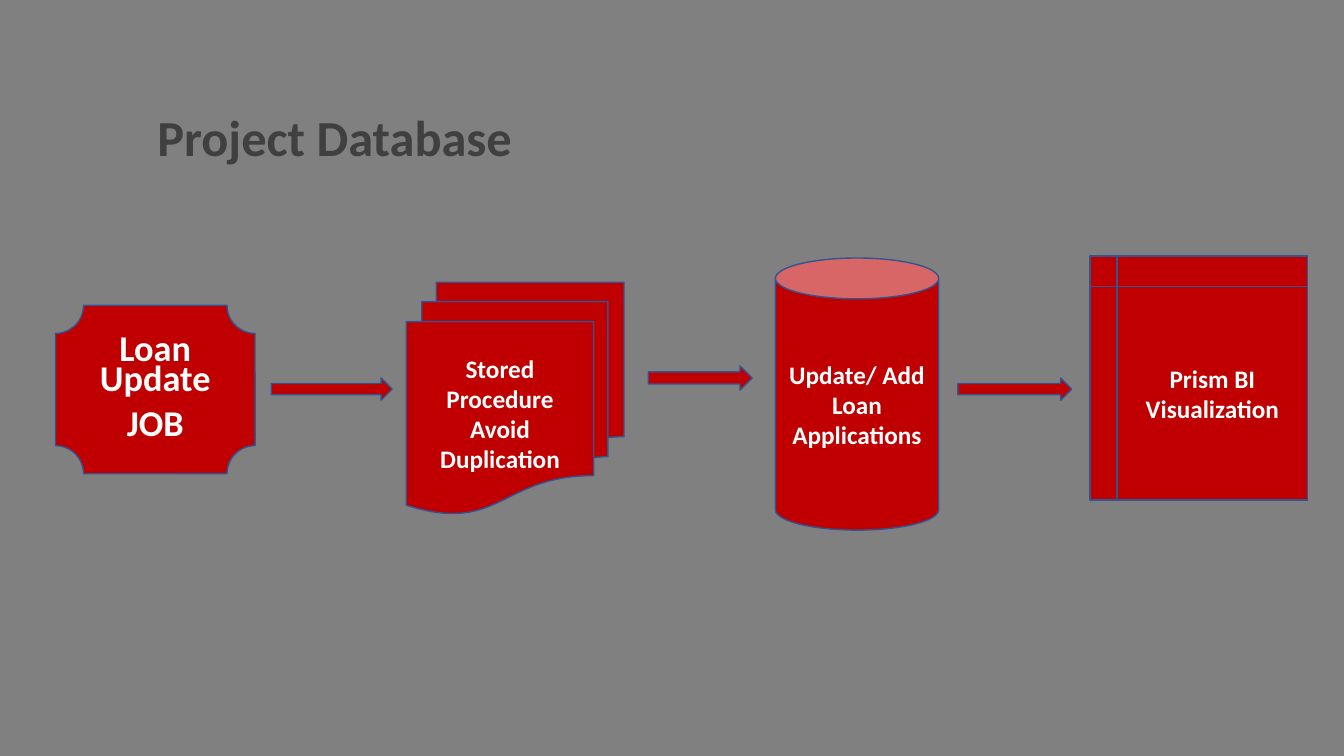
import pptx
import pptx.dml.color
import pptx.enum.shapes
import pptx.enum.text
import pptx.oxml
import pptx.oxml.ns
import pptx.util

Inches = pptx.util.Inches
Pt = pptx.util.Pt
SHAPES = pptx.enum.shapes.MSO_SHAPE
ALIGN = pptx.enum.text.PP_ALIGN
MIDDLE = pptx.enum.text.MSO_ANCHOR.MIDDLE

GREY, RED, BLUE = "808080", "C00000", "325491"
WHITE, CHARCOAL = "FFFFFF", "404040"

STEPS = [
    (SHAPES.FLOWCHART_MULTIDOCUMENT, (4.03, 2.8, 2.16, 2.3),
     ["Stored Procedure", "Avoid Duplication"]),
    (SHAPES.FLOWCHART_INTERNAL_STORAGE, (10.81, 2.54, 2.16, 2.42),
     ["Prism BI", "Visualization"]),
    (SHAPES.CAN, (7.69, 2.56, 1.62, 2.7), ["Update/ Add Loan Applications"]),
]
ARROWS = [(2.69, 3.75, 1.2, 0.22), (6.43, 3.63, 1.03, 0.24), (9.5, 3.75, 1.13, 0.22)]


def color(hex_string):
    return pptx.dml.color.RGBColor.from_string(hex_string)


def place(shape, box):
    shape.left, shape.top, shape.width, shape.height = map(Inches, box)


def paint(shape):
    shape.fill.solid()
    shape.fill.fore_color.rgb = color(RED)
    shape.line.color.rgb = color(BLUE)
    shape.line.width = Pt(1)


def write(shape, lines, size, text_color=WHITE, alignment=ALIGN.CENTER):
    frame = shape.text_frame
    frame.text = "\n".join(lines)
    frame.word_wrap = True
    frame.auto_size = pptx.enum.text.MSO_AUTO_SIZE.NONE
    frame.vertical_anchor = MIDDLE
    for paragraph in frame.paragraphs:
        paragraph.alignment = alignment
        for run in paragraph.runs:
            run.font.name = "Calibri"
            run.font.size = Pt(size)
            run.font.bold = True
            run.font.color.rgb = color(text_color)


def add_title(slide, box):
    title = slide.shapes.title
    place(title, box)
    write(title, ["Project Database"], 36, CHARCOAL, ALIGN.LEFT)
    title.text_frame.margin_left = Inches(0.9)
    title.text_frame.paragraphs[0].line_spacing = 0.9


def add_job(slide, box):
    """Turn the body placeholder into the plaque that starts the flow."""
    job = slide.placeholders[1]
    place(job, box)
    geometry = pptx.oxml.parse_xml(
        f'<a:prstGeom {pptx.oxml.ns.nsdecls("a")} prst="plaque"><a:avLst/></a:prstGeom>')
    job.element.spPr.append(geometry)
    paint(job)
    write(job, ["Loan Update", "JOB"], 25.9)
    for paragraph in job.text_frame.paragraphs:
        paragraph.line_spacing = 0.7
        paragraph.space_before = Pt(10)
        properties = paragraph._p.get_or_add_pPr()
        properties.set("marL", "0")
        properties.set("indent", "0")
        properties.append(pptx.oxml.parse_xml(f'<a:buNone {pptx.oxml.ns.nsdecls("a")}/>'))


def add_step(slide, kind, box, lines=()):
    step = slide.shapes.add_shape(kind, *map(Inches, box))
    step.shadow.inherit = False
    paint(step)
    if lines:
        write(step, lines, 18)


def add_flow(slide):
    add_job(slide, (0.55, 3.03, 1.98, 1.67))
    for kind, box, lines in STEPS:
        add_step(slide, kind, box, lines)
    for box in ARROWS:
        add_step(slide, SHAPES.RIGHT_ARROW, box)


def main():
    presentation = pptx.Presentation()
    presentation.slide_width = Inches(13.33)
    presentation.slide_height = Inches(7.5)
    slide = presentation.slides.add_slide(presentation.slide_layouts[1])
    slide.background.fill.solid()
    slide.background.fill.fore_color.rgb = color(GREY)
    add_title(slide, (0.66, 0.67, 9.4, 1.44))
    add_flow(slide)
    presentation.save("out.pptx")


if __name__ == "__main__":
    main()
